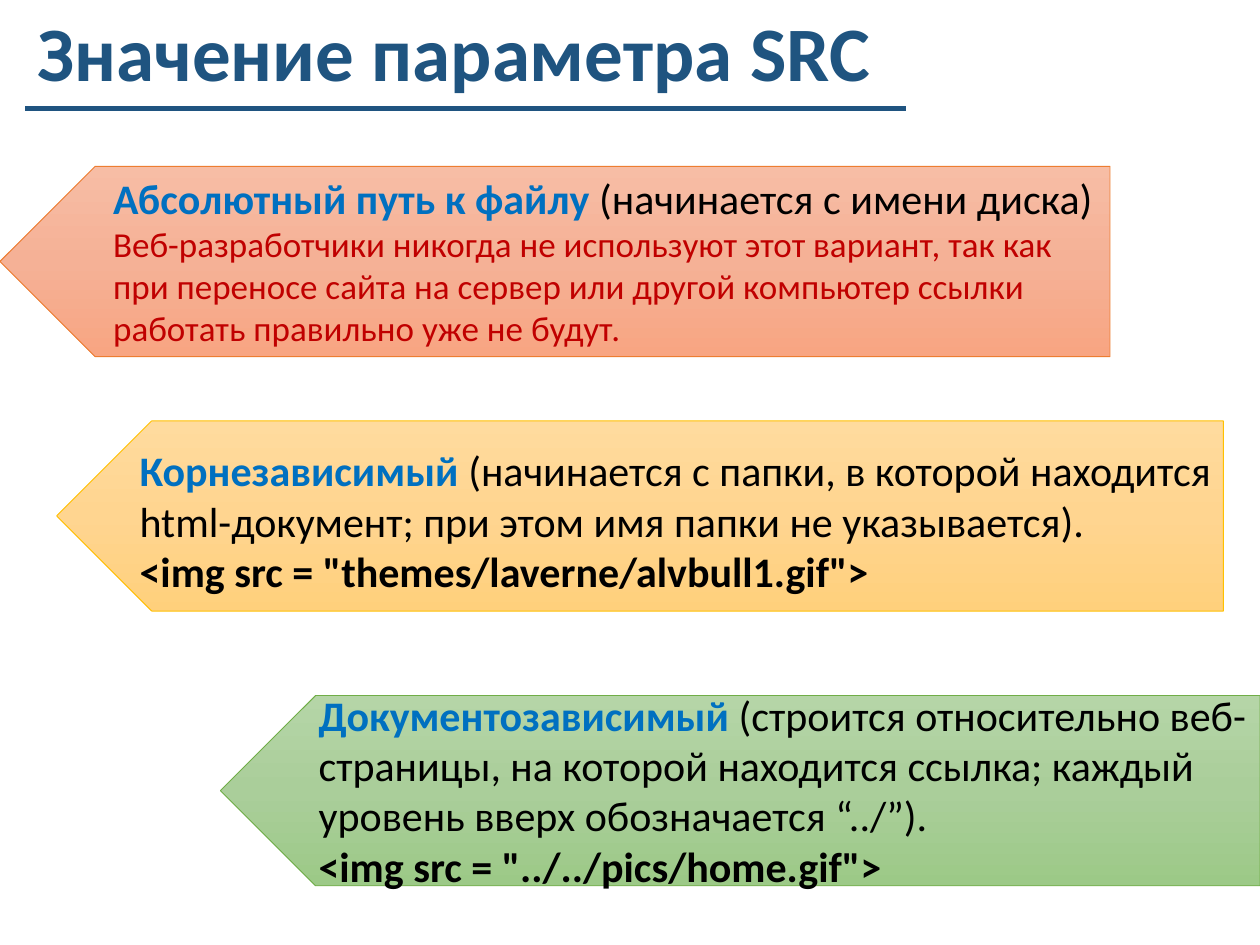
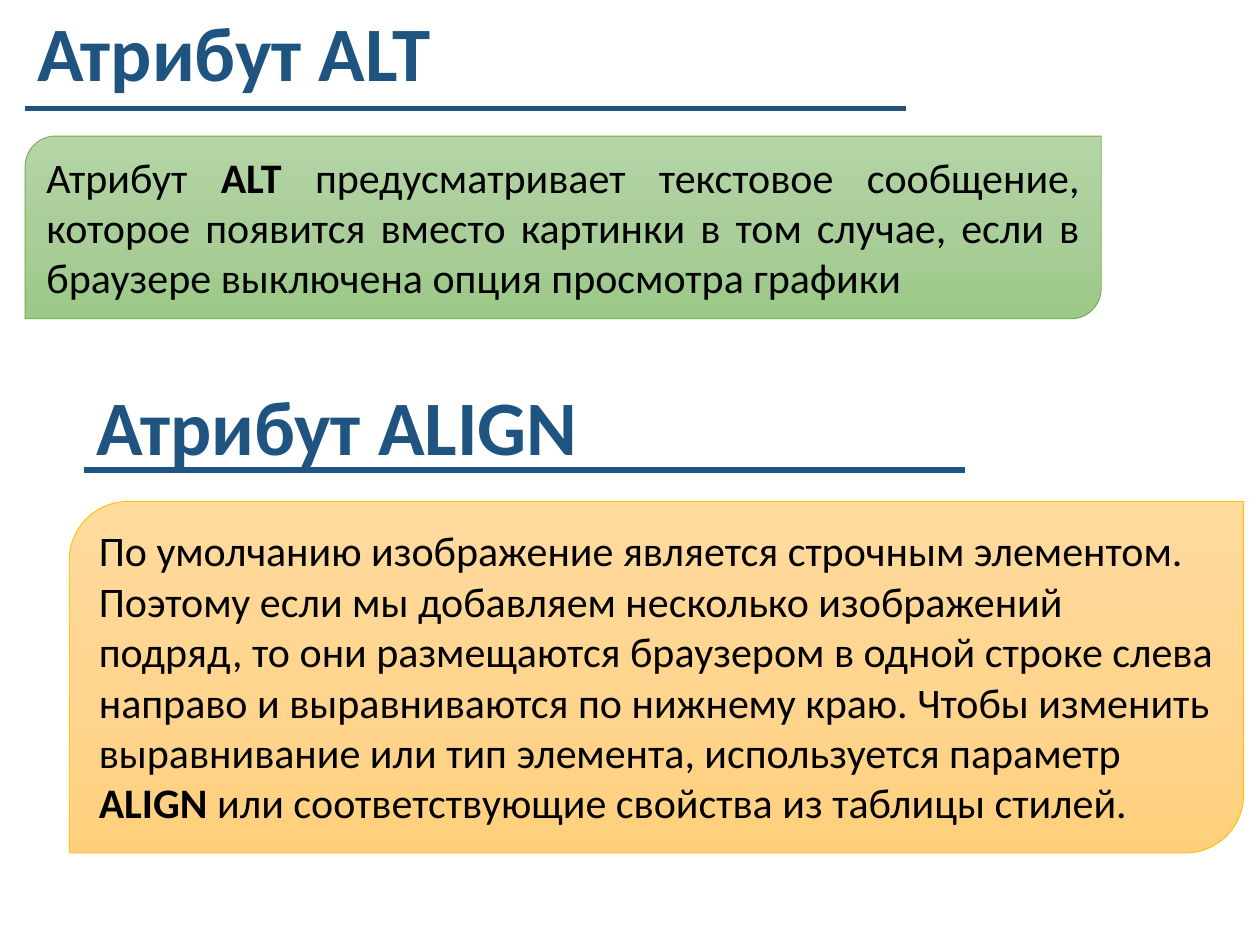
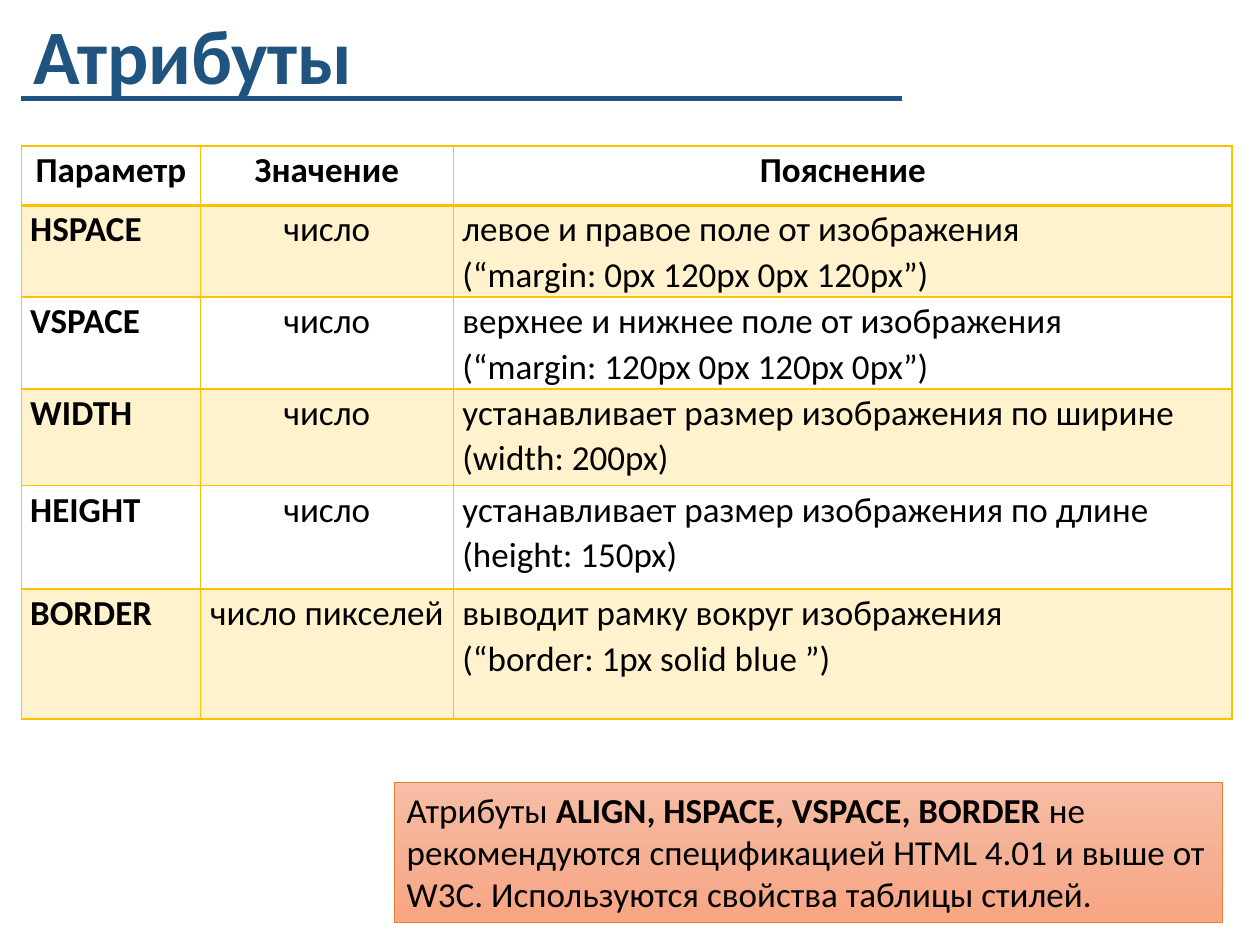
"""Builds three slides about the attributes of the HTML img tag."""
from copy import deepcopy
from dataclasses import dataclass

from lxml import etree
from pptx import Presentation
from pptx.dml.color import RGBColor
from pptx.enum.shapes import MSO_CONNECTOR, MSO_SHAPE
from pptx.enum.text import MSO_ANCHOR, MSO_AUTO_SIZE, PP_ALIGN
from pptx.oxml.ns import qn
from pptx.util import Inches, Pt

PENTAGON, DIAGONAL = MSO_SHAPE.PENTAGON, MSO_SHAPE.ROUND_2_DIAG_RECTANGLE
RECTANGLE, STRAIGHT = MSO_SHAPE.RECTANGLE, MSO_CONNECTOR.STRAIGHT
LEFT, CENTER, JUSTIFY = PP_ALIGN.LEFT, PP_ALIGN.CENTER, PP_ALIGN.JUSTIFY
TOP, MIDDLE = MSO_ANCHOR.TOP, MSO_ANCHOR.MIDDLE
FIT_SHAPE, NO_FIT = MSO_AUTO_SIZE.SHAPE_TO_FIT_TEXT, MSO_AUTO_SIZE.NONE

FONT = "Calibri"
BLACK = RGBColor(0x00, 0x00, 0x00)
NAVY = RGBColor(0x1F, 0x54, 0x80)
BLUE = RGBColor(0x00, 0x70, 0xC0)
RED = RGBColor(0xC0, 0x00, 0x00)
GOLD = RGBColor(0xFF, 0xC0, 0x00)
PALE_GOLD = RGBColor(0xFF, 0xF2, 0xCC)


@dataclass
class Span:
    """A stretch of text in one format."""
    text: str
    bold: bool = False
    color: RGBColor = BLACK
    size: int = 24


@dataclass
class Scheme:
    """The gradient stops and the outline of a panel."""
    stops: tuple
    outline: RGBColor


ORANGE_PANEL = Scheme((RGBColor(0xF7, 0xBD, 0xA5), RGBColor(0xF5, 0xB1, 0x96),
                       RGBColor(0xF8, 0xA5, 0x82)), RGBColor(0xED, 0x7D, 0x31))
GOLD_PANEL = Scheme((RGBColor(0xFF, 0xDB, 0x9E), RGBColor(0xFF, 0xD5, 0x90),
                     RGBColor(0xFF, 0xD0, 0x7C)), GOLD)
GREEN_PANEL = Scheme((RGBColor(0xB5, 0xD5, 0xA7), RGBColor(0xAA, 0xCE, 0x9A),
                      RGBColor(0x9C, 0xC9, 0x87)), RGBColor(0x70, 0xAD, 0x47))

PATHS = [
    (ORANGE_PANEL, (0, 1.32, 8.81, 1.51), (0.8, 1.32, 8.13, 1.51), [
        [Span("Абсолютный путь к файлу ", True, BLUE),
         Span("(начинается с имени диска)")],
        [Span("Веб-разработчики никогда не используют этот вариант, так как при "
              "переносе сайта на сервер или другой компьютер ссылки работать "
              "правильно уже не будут.", color=RED, size=20)]]),
    (GOLD_PANEL, (0.45, 3.34, 9.26, 1.51), (1.01, 3.48, 8.84, 1.31), [
        [Span("Корнезависимый ", True, BLUE),
         Span("(начинается с папки, в которой находится html-документ; при этом "
              "имя папки не указывается).")],
        [Span('<img src = "themes/laverne/alvbull1.gif">', True)]]),
    (GREEN_PANEL, (1.75, 5.52, 8.25, 1.51), (2.43, 5.42, 7.69, 1.72), [
        [Span("Документозависимый ", True, BLUE),
         Span("(строится относительно веб-страницы, на которой находится ссылка; "
              "каждый уровень вверх обозначается “../”).")],
        [Span('<img src = "../../pics/home.gif">', True)]]),
]

ALT_TEXT = [[
    Span("Атрибут "), Span("ALT", True),
    Span(" предусматривает текстовое сообщение, которое появится вместо картинки "
         "в том случае, если в браузере выключена опция просмотра графики")]]
ALIGN_TEXT = [[
    Span("По умолчанию изображение является строчным элементом. Поэтому если мы "
         "добавляем несколько изображений подряд, то они размещаются браузером в "
         "одной строке слева направо и выравниваются по нижнему краю. Чтобы "
         "изменить выравнивание или тип элемента, используется параметр "),
    Span("ALIGN", True),
    Span(" или соответствующие свойства из таблицы стилей.")]]
ADVICE_TEXT = [[
    Span("Атрибуты ", size=20),
    Span("ALIGN, HSPACE, VSPACE, BORDER ", True, size=20),
    Span("не рекомендуются спецификацией HTML 4.01 и выше от W3C. Используются "
         "свойства таблицы стилей.", size=20)]]

COLUMN_WIDTHS = (1.42, 2.01, 6.18)
ROW_HEIGHTS = (0.47, 0.69, 0.69, 0.77, 0.82, 1.03)
ATTRIBUTES = [
    ("Параметр", "Значение", "Пояснение"),
    ("HSPACE", "число",
     "левое и правое поле от изображения\n(“margin: 0рх 120рх 0рх 120рх”)"),
    ("VSPACE", "число",
     "верхнее и нижнее поле от изображения\n(“margin: 120рх 0рх 120рх 0рх”)"),
    ("WIDTH", "число",
     "устанавливает размер изображения по ширине\n(width: 200px)"),
    ("HEIGHT", "число",
     "устанавливает размер изображения по длине\n(height: 150px)"),
    ("BORDER", "число пикселей",
     "выводит рамку вокруг изображения\n(“border: 1px solid blue ”)"),
]


def write_text(frame, paragraphs, align=LEFT, spacing=None):
    """Fill a text frame with paragraphs, each a list of spans."""
    for index, spans in enumerate(paragraphs):
        para = frame.add_paragraph() if index else frame.paragraphs[0]
        para.alignment = align
        para.line_spacing = spacing
        for span in spans:
            run = para.add_run()
            run.text = span.text
            run.font.name = FONT
            run.font.size = Pt(span.size)
            run.font.bold = span.bold
            run.font.color.rgb = span.color


def set_frame(frame, anchor=TOP, fit=FIT_SHAPE):
    """Make a text frame wrap, with its anchor and its way of fitting."""
    frame.word_wrap = True
    frame.vertical_anchor = anchor
    frame.auto_size = fit
    return frame


def add_text(page, box, paragraphs, anchor=TOP, fit=FIT_SHAPE, spacing=None):
    """Place a text box."""
    frame = page.shapes.add_textbox(*map(Inches, box)).text_frame
    write_text(set_frame(frame, anchor, fit), paragraphs, spacing=spacing)


def add_title(page, text, left=0.2, top=-0.02, rule_drop=0.88):
    """Place a heading with a rule below it."""
    add_text(page, (left, top, 9.33, 1.03), [[Span(text, True, NAVY, 44)]],
             anchor=MIDDLE, fit=NO_FIT, spacing=0.7)
    height = Inches(top + rule_drop)
    rule = page.shapes.add_connector(
        STRAIGHT, Inches(left), height, Inches(left + 6.99), height)
    rule.line.color.rgb = NAVY
    rule.line.width = Pt(3)
    etree.SubElement(rule._element.spPr, qn("a:effectLst"))


def add_panel(page, kind, box, scheme, paragraphs=(), align=LEFT):
    """Place a shape with a downward gradient and optional text."""
    panel = page.shapes.add_shape(kind, *map(Inches, box))
    panel.shadow.inherit = False
    panel.line.color.rgb = scheme.outline
    panel.line.width = Pt(0.5)
    panel.fill.gradient()
    panel.fill.gradient_angle = 270
    stop_list = panel._element.spPr.find(".//" + qn("a:gsLst"))
    middle_stop = deepcopy(stop_list[0])
    middle_stop.set("pos", "50000")
    stop_list.insert(1, middle_stop)
    for stop, color in zip(panel.fill.gradient_stops, scheme.stops):
        stop.color.rgb = color
    if paragraphs:
        write_text(set_frame(panel.text_frame), paragraphs, align)
    return panel


def add_left_arrow(page, box, scheme):
    """Place a pentagon that points to the left."""
    arrow = add_panel(page, PENTAGON, box, scheme)
    arrow._element.spPr.find(qn("a:xfrm")).set("flipH", "1")


def set_borders(cell, top, bottom):
    """Draw the four borders of a cell, with top and bottom widths in points."""
    properties = cell._tc.get_or_add_tcPr()
    widths = {"lnL": 1, "lnR": 1, "lnT": top, "lnB": bottom}
    for index, (side, width) in enumerate(widths.items()):
        line = etree.Element(qn("a:" + side), w=str(Pt(width)))
        fill = etree.SubElement(line, qn("a:solidFill"))
        etree.SubElement(fill, qn("a:srgbClr"), val=str(GOLD))
        properties.insert(index, line)


def fill_cell(cell, text, row, column):
    """Format one cell of the attribute table by its row and column."""
    cell.margin_left = cell.margin_right = Inches(0.07)
    cell.margin_top = cell.margin_bottom = 0
    if row % 2:
        cell.fill.solid()
        cell.fill.fore_color.rgb = PALE_GOLD
    else:
        cell.fill.background()
    set_borders(cell, top=2 if row == 1 else 1, bottom=2 if row == 0 else 1)
    bold = row == 0 or column == 0
    align = CENTER if row == 0 or column == 1 else JUSTIFY
    paragraphs = [[Span(line, bold, size=20)] for line in text.split("\n")]
    write_text(cell.text_frame, paragraphs, align, spacing=1.07)


def add_attribute_table(page, left, top):
    """Place the table of attributes."""
    table = page.shapes.add_table(
        len(ROW_HEIGHTS), len(COLUMN_WIDTHS), Inches(left), Inches(top),
        Inches(sum(COLUMN_WIDTHS)), Inches(sum(ROW_HEIGHTS))).table
    table.first_row = table.horz_banding = False
    for column, width in zip(table.columns, COLUMN_WIDTHS):
        column.width = Inches(width)
    for row, height in zip(table.rows, ROW_HEIGHTS):
        row.height = Inches(height)
    for row, texts in enumerate(ATTRIBUTES):
        for column, text in enumerate(texts):
            fill_cell(table.cell(row, column), text, row, column)


def build_paths(page):
    """Show the three kinds of path for SRC."""
    add_title(page, "Значение параметра SRC")
    for scheme, arrow_box, text_box, paragraphs in PATHS:
        add_left_arrow(page, arrow_box, scheme)
        add_text(page, text_box, paragraphs)


def build_alt_and_align(page):
    """Explain ALT and ALIGN."""
    add_title(page, "Атрибут ALT")
    add_panel(page, DIAGONAL, (0.2, 1.08, 8.54, 1.45), GREEN_PANEL, ALT_TEXT, JUSTIFY)
    add_title(page, "Атрибут ALIGN", left=0.67, top=2.95, rule_drop=0.78)
    add_panel(page, DIAGONAL, (0.55, 3.98, 9.32, 2.79), GOLD_PANEL, ALIGN_TEXT)


def build_attributes(page):
    """List the other attributes with a piece of advice."""
    add_title(page, "Атрибуты", left=0.17, top=0, rule_drop=0.78)
    add_attribute_table(page, 0.17, 1.16)
    add_panel(page, RECTANGLE, (3.13, 6.21, 6.57, 1.11), ORANGE_PANEL, ADVICE_TEXT)


def main():
    """Build and save the deck."""
    deck = Presentation()
    deck.slide_width, deck.slide_height = Inches(10), Inches(7.5)
    for build in (build_paths, build_alt_and_align, build_attributes):
        build(deck.slides.add_slide(deck.slide_layouts[6]))
    deck.save("out.pptx")


if __name__ == "__main__":
    main()
